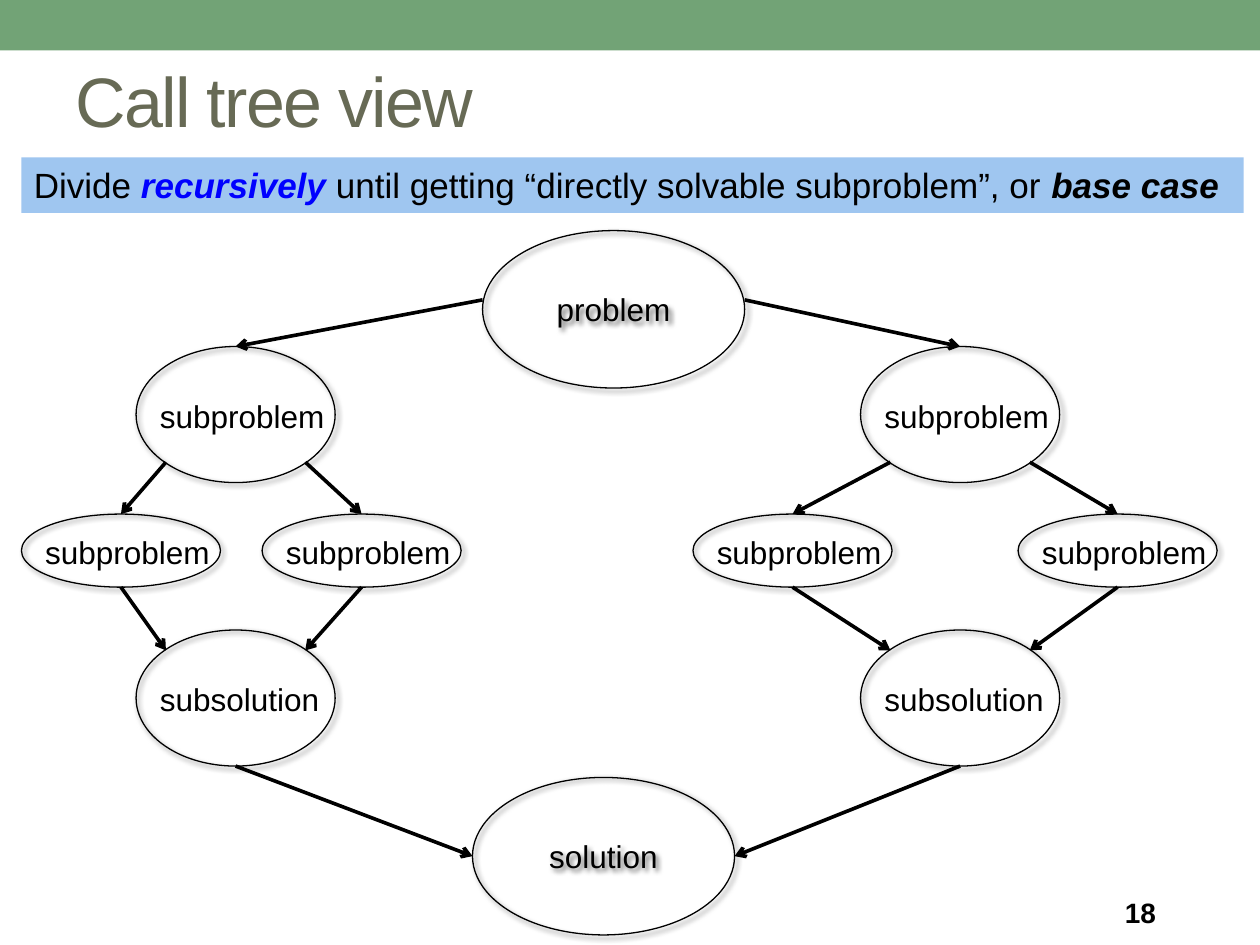
from dataclasses import dataclass

from lxml.etree import SubElement
from pptx import Presentation
from pptx.dml.color import RGBColor
from pptx.enum.shapes import MSO_CONNECTOR, MSO_SHAPE
from pptx.enum.text import MSO_ANCHOR, MSO_AUTO_SIZE, PP_ALIGN
from pptx.oxml.ns import qn
from pptx.util import Inches, Pt


@dataclass(frozen=True)
class Theme:
    font: str = "Arial"
    ink: str = "000000"
    bar: str = "72A376"
    head: str = "676A55"
    band: str = "9FC6F0"
    mark: str = "0000FF"
    title: int = 40
    lead: int = 20
    page: int = 16
    label: int = 18
    rim: float = 0.75
    arrow: float = 2.08


# Points on an ellipse, as fractions of its width and height
NEAR, FAR = 0.15, 0.85
TOP, LEFT, BOTTOM, RIGHT = (0.5, 0), (0, 0.5), (0.5, 1), (1, 0.5)
NW, NE, SW, SE = (NEAR, NEAR), (FAR, NEAR), (NEAR, FAR), (FAR, FAR)


class Board:
    def __init__(self, slide, theme):
        self.slide = slide
        self.shapes = slide.shapes
        self.theme = theme

    def run(self, para, text, size, color=None, bold=False, italic=False):
        run = para.add_run()
        run.text = text
        font = run.font
        font.name, font.size = self.theme.font, Pt(size)
        font.bold, font.italic = bold, italic
        font.color.rgb = RGBColor.from_string(color or self.theme.ink)
        return run

    def title(self, text, *box):
        shape = self.shapes.title
        shape.left, shape.top, shape.width, shape.height = map(Inches, box)
        frame = shape.text_frame
        frame.vertical_anchor = MSO_ANCHOR.MIDDLE
        para = frame.paragraphs[0]
        para.alignment = PP_ALIGN.LEFT
        run = self.run(para, text, self.theme.title, self.theme.head)
        run.font._element.set("spc", "-100")

    def rect(self, color, *box):
        shape = self.shapes.add_shape(MSO_SHAPE.RECTANGLE, *map(Inches, box))
        shape.shadow.inherit = False
        shape.fill.solid()
        shape.fill.fore_color.rgb = RGBColor.from_string(color)
        shape.line.fill.background()
        return shape

    def banner(self, parts, *box):
        """Each part is a text and its font settings."""
        frame = self.rect(self.theme.band, *box).text_frame
        frame.word_wrap = False
        frame.vertical_anchor = MSO_ANCHOR.TOP
        para = frame.paragraphs[0]
        para.alignment = PP_ALIGN.LEFT
        for text, style in parts:
            self.run(para, text, self.theme.lead, **style)

    def text(self, text, size, *box, bold=False):
        frame = self.shapes.add_textbox(*map(Inches, box)).text_frame
        self.run(frame.paragraphs[0], text, size, bold=bold)
        return frame

    def oval(self, *box):
        shape = self.shapes.add_shape(MSO_SHAPE.OVAL, *map(Inches, box))
        shape.fill.background()
        shape.line.color.rgb = RGBColor.from_string(self.theme.ink)
        shape.line.width = Pt(self.theme.rim)
        self.shade(shape)
        return shape

    def shade(self, shape):
        shape.shadow.inherit = False
        effects = shape._element.spPr.find(qn("a:effectLst"))
        shadow = SubElement(effects, qn("a:outerShdw"), blurRad=str(Pt(3)),
                            dist=str(Pt(2)), dir="2700000", rotWithShape="0")
        color = SubElement(shadow, qn("a:srgbClr"), val=self.theme.ink)
        SubElement(color, qn("a:alpha"), val="60000")

    def root(self, text, left, top):
        """Large ellipse that holds its own centred text."""
        shape = self.oval(left, top, 2.08, 1.25)
        frame = shape.text_frame
        frame.vertical_anchor = MSO_ANCHOR.MIDDLE
        para = frame.paragraphs[0]
        para.alignment = PP_ALIGN.CENTER
        self.run(para, text, self.theme.label)
        return shape

    def node(self, text, left, top, high):
        """Small ellipse with a label box laid over it."""
        shape = self.oval(left, top, 1.58, high)
        frame = self.text(text, self.theme.label,
                          left + 0.09, top + high / 2 - 0.19, 1.52, 0.4)
        frame.word_wrap = False
        frame.auto_size = MSO_AUTO_SIZE.SHAPE_TO_FIT_TEXT
        return shape

    def arrow(self, start, exit, end, entry):
        ends = [round(value) for shape, (x, y) in ((start, exit), (end, entry))
                for value in (shape.left + x * shape.width,
                              shape.top + y * shape.height)]
        line = self.shapes.add_connector(MSO_CONNECTOR.STRAIGHT, *ends)
        line.line.color.rgb = RGBColor.from_string(self.theme.ink)
        line.line.width = Pt(self.theme.arrow)
        SubElement(line.line._get_or_add_ln(), qn("a:tailEnd"), type="arrow")
        SubElement(line._element.spPr, qn("a:effectLst"))


def main():
    deck = Presentation()
    deck.slide_width, deck.slide_height = Inches(10), Inches(7.5)
    theme = Theme()
    board = Board(deck.slides.add_slide(deck.slide_layouts[5]), theme)

    board.rect(theme.bar, 0, 0, 10, 0.4)
    board.title("Call tree view", 0.5, 0.25, 9, 1.08)
    page = board.text("18", theme.page, 8.83, 7.06, 1.17, 0.36, bold=True)
    page.vertical_anchor = MSO_ANCHOR.MIDDLE

    first = board.root("problem", 3.83, 1.83)
    last = board.root("solution", 3.75, 6.17)
    # Each half: left of the main ellipses, lefts of the two leaves,
    # side of the roots that it joins
    halves = ((1.08, (0.17, 2.08), LEFT), (6.83, (5.5, 8.08), RIGHT))
    for left, leaves, side in halves:
        upper = board.node("subproblem", left, 2.75, 1.08)
        lower = board.node("subsolution", left, 5, 1.08)
        board.arrow(first, (side[0], 0.44), upper, TOP)
        board.arrow(lower, BOTTOM, last, side)
        for spot, exit, entry in zip(leaves, (SW, SE), (NW, NE)):
            leaf = board.node("subproblem", spot, 4.08, 0.58)
            board.arrow(upper, exit, leaf, TOP)
            board.arrow(leaf, BOTTOM, lower, entry)

    strong = {"bold": True, "italic": True}
    board.banner((
        ("Divide ", {}),
        ("recursively ", {"color": theme.mark, **strong}),
        ("until getting “directly solvable subproblem”, or ", {}),
        ("base case", strong),
    ), 0.17, 1.25, 9.7, 0.44)

    deck.save("out.pptx")


if __name__ == "__main__":
    main()
